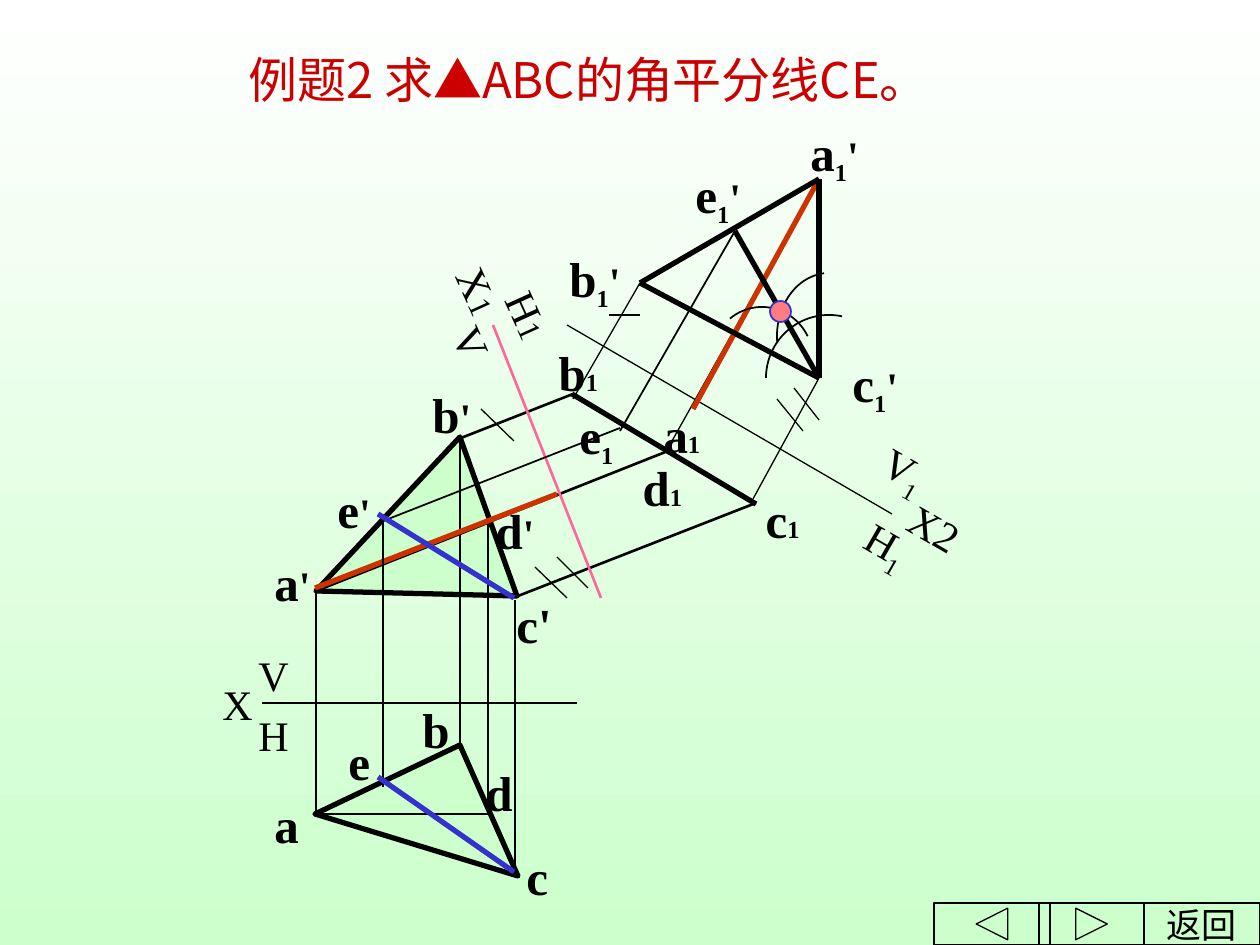
import itertools

import lxml.etree
import pptx
import pptx.dml.color
import pptx.enum.shapes
import pptx.enum.text
import pptx.oxml.ns
import pptx.util

PX = 914400 / 126
LATIN = "Times New Roman"
CJK = "Noto Sans CJK JP"
COLOURS = {
    "black": "000000",
    "title": "CC0000",
    "top": "FFFFFF",
    "bottom": "CCFFCC",
    "triangle": "CCFFCC",
    "new_axis": "FF6699",
    "level_line": "CC3300",
    "bisector": "3333CC",
    "crossing": "FF7C80",
}
SHAPE = pptx.enum.shapes.MSO_SHAPE
MIDDLE = pptx.enum.text.MSO_ANCHOR.MIDDLE
CENTER = pptx.enum.text.PP_ALIGN.CENTER


def emu(*lengths):
    return [round(length * PX) for length in lengths]


def rgb(name):
    return pptx.dml.color.RGBColor.from_string(COLOURS[name])


def add_run(paragraph, text, size, colour="black", bold=False, font=LATIN, baseline=0):
    run = paragraph.add_run()
    run.text = text
    run.font.size = pptx.util.Pt(size)
    run.font.bold = bold
    run.font.color.rgb = rgb(colour)
    run.font.name = font
    properties = run.font._element
    east_asian = lxml.etree.SubElement(properties, pptx.oxml.ns.qn("a:ea"))
    east_asian.set("typeface", CJK)
    if baseline:
        properties.set("baseline", str(baseline * 1000))


def style(shape, weight, colour="black", fill=None):
    shape.shadow.inherit = False
    if fill:
        shape.fill.solid()
        shape.fill.fore_color.rgb = rgb(fill)
    else:
        shape.fill.background()
    shape.line.color.rgb = rgb(colour)
    shape.line.width = pptx.util.Pt(weight)


def add_label(slide, box, pieces, bold=True, rotation=0):
    """Pieces are (text, size, baseline shift in percent)."""
    label = slide.shapes.add_textbox(*emu(*box))
    label.rotation = rotation
    label.text_frame.word_wrap = True
    for text, size, baseline in pieces:
        add_run(label.text_frame.paragraphs[0], text, size, bold=bold, baseline=baseline)


def add_lines(slide, weight, colour, segments):
    for segment in segments:
        line = slide.shapes.add_connector(
            pptx.enum.shapes.MSO_CONNECTOR.STRAIGHT, *emu(*segment))
        line.line.color.rgb = rgb(colour)
        line.line.width = pptx.util.Pt(weight)
        lxml.etree.SubElement(line._element.spPr, pptx.oxml.ns.qn("a:effectLst"))


def add_triangle(slide, corners):
    builder = slide.shapes.build_freeform(*corners[0], scale=PX)
    builder.add_line_segments(corners[1:], close=True)
    style(builder.convert_to_shape(), 3, fill="triangle")


def add_arc(slide, box, start, end):
    arc = slide.shapes.add_shape(SHAPE.ARC, *emu(*box))
    for index, degrees in enumerate((start, end)):
        arc.adjustments[index] = degrees * 0.6  # 60000ths of a degree over 100000
    style(arc, 1)


def add_button(slide, kind, box, text=""):
    button = slide.shapes.add_shape(kind, *emu(*box))
    style(button, 0.75)
    if text:
        button.text_frame.word_wrap = False
        button.text_frame.vertical_anchor = MIDDLE
        caption = button.text_frame.paragraphs[0]
        caption.alignment = CENTER
        add_run(caption, text, 20)


def add_title(slide):
    title = slide.shapes.title
    title.left, title.top, title.width, title.height = emu(53, 21, 1071, 116)
    title.text_frame.vertical_anchor = MIDDLE
    heading = title.text_frame.paragraphs[0]
    heading.alignment = CENTER
    add_run(heading, "例题2 求▲ABC的角平分线CE。", 28, "title", font=CJK)


def fill_background(slide):
    fill = slide.background.fill
    fill.gradient()
    fill.gradient_angle = 270
    for stop, position, name in zip(fill.gradient_stops, (0, 1), ("top", "bottom")):
        stop.position = position
        stop.color.rgb = rgb(name)


def label_points(slide):
    plain = {"b": (410, 693), "a": (262, 788), "c": (514, 840),
             "d": (473, 756), "e": (336, 725)}
    for letter, place in plain.items():
        add_label(slide, (*place, 77, 72), [(letter, 28, 0)])

    front = {"a": (262, 546, 24, 0), "b": (420, 378, 24, 0), "c": (504, 588, 28, 0),
             "d": (483, 494, 24, -0.4), "e": (325, 473, 24, 0)}
    for letter, (left, top, prime_size, rotation) in front.items():
        add_label(slide, (left, top, 105, 72),
                  [(letter, 28, 0), ("'", prime_size, 0)], rotation=rotation)

    first_view = {"b": (546, 336), "a": (651, 398), "c": (753, 483), "d": (630, 451)}
    for letter, place in first_view.items():
        add_label(slide, (*place, 105, 72), [(letter, 28, 0), ("1", 14, 0)], rotation=-0.4)
    add_label(slide, (567, 399, 105, 77), [("e", 28, 0), ("1", 24, -25)])

    second_view = {"b": (557, 242), "c": (840, 347), "a": (798, 116), "e": (683, 158)}
    for letter, place in second_view.items():
        add_label(slide, (*place, 105, 77),
                  [(letter, 28, 0), ("1", 24, -25), ("'", 24, 0)])


def label_axes(slide):
    for letter, box in (("X", (210, 672, 112, 63)), ("V", (246, 643, 72, 63)),
                        ("H", (246, 703, 72, 63))):
        add_label(slide, box, [(letter, 24, 0)], bold=False)
    one, low_one = ("1", 18, 0), ("1", 24, -25)
    turned = [
        ("X", [one], (432, 278, 112, 63), 65.6),
        ("H", [one], (481, 302, 112, 63), 65.6),
        ("V", [], (440, 318, 71, 63), 65.6),
        ("X2", [], (892, 514, 147, 63), 30),
        ("V", [low_one], (869, 441, 84, 71), 30),
        ("H", [low_one], (849, 524, 116, 71), 30),
    ]
    for text, suffix, box, rotation in turned:
        add_label(slide, box, [(text, 24, 0), *suffix], bold=False, rotation=rotation)


def draw_construction(slide):
    add_triangle(slide, [(315, 814), (460, 745), (518, 876)])
    add_triangle(slide, [(316, 591), (460, 437), (517, 596)])
    add_lines(slide, 1.5, "black", [
        (316, 591, 316, 813), (460, 438, 460, 745), (515, 600, 515, 876),
        (262, 703, 577, 703), (488, 523, 488, 813), (316, 814, 489, 814),
        (316, 591, 490, 522), (461, 438, 573, 394), (489, 522, 668, 451),
        (518, 596, 756, 503)])
    add_lines(slide, 1.5, "new_axis", [(493, 325, 601, 598)])
    add_lines(slide, 3, "black", [(572, 394, 756, 504)])
    add_lines(slide, 0.75, "black", [
        (892, 514, 567, 325), (573, 399, 640, 283), (672, 441, 819, 179),
        (753, 499, 819, 378)])
    equal_length_marks = [
        (481, 409, 514, 441), (609, 315, 640, 315), (535, 567, 567, 598),
        (557, 557, 588, 588), (777, 399, 803, 431), (794, 388, 819, 420)]
    add_lines(slide, 0.75, "black", equal_length_marks)
    add_lines(slide, 3, "level_line", [(315, 588, 557, 494), (693, 409, 819, 179)])

    true_shape = [(640, 283), (819, 378), (819, 179)]
    add_lines(slide, 3, "black",
              [start + end for start, end in itertools.combinations(true_shape, 2)])
    add_arc(slide, (766, 315, 126, 126), 180, 282)
    add_arc(slide, (777, 273, 105, 126), 172, 265)
    add_arc(slide, (711, 307, 102, 105), 232, 333)
    add_lines(slide, 3, "black", [(819, 378, 735, 231)])
    add_lines(slide, 1, "black", [
        (735, 231, 620, 431), (620, 428, 378, 523), (383, 514, 383, 787)])
    add_lines(slide, 3, "bisector", [(514, 872, 378, 777), (514, 598, 378, 514)])
    crossing = slide.shapes.add_shape(SHAPE.OVAL, *emu(770, 301, 21, 21))
    style(crossing, 1, "bisector", "crossing")


def main():
    deck = pptx.Presentation()
    deck.slide_width, deck.slide_height = emu(1260, 945)
    slide = deck.slides.add_slide(deck.slide_layouts[5])
    fill_background(slide)
    add_title(slide)
    draw_construction(slide)
    label_points(slide)
    label_axes(slide)
    add_button(slide, SHAPE.ACTION_BUTTON_CUSTOM, (1144, 903, 116, 42), "返回")
    add_button(slide, SHAPE.ACTION_BUTTON_BACK_OR_PREVIOUS, (934, 903, 116, 42))
    add_button(slide, SHAPE.ACTION_BUTTON_FORWARD_OR_NEXT, (1039, 903, 105, 42))
    deck.save("out.pptx")


if __name__ == "__main__":
    main()
